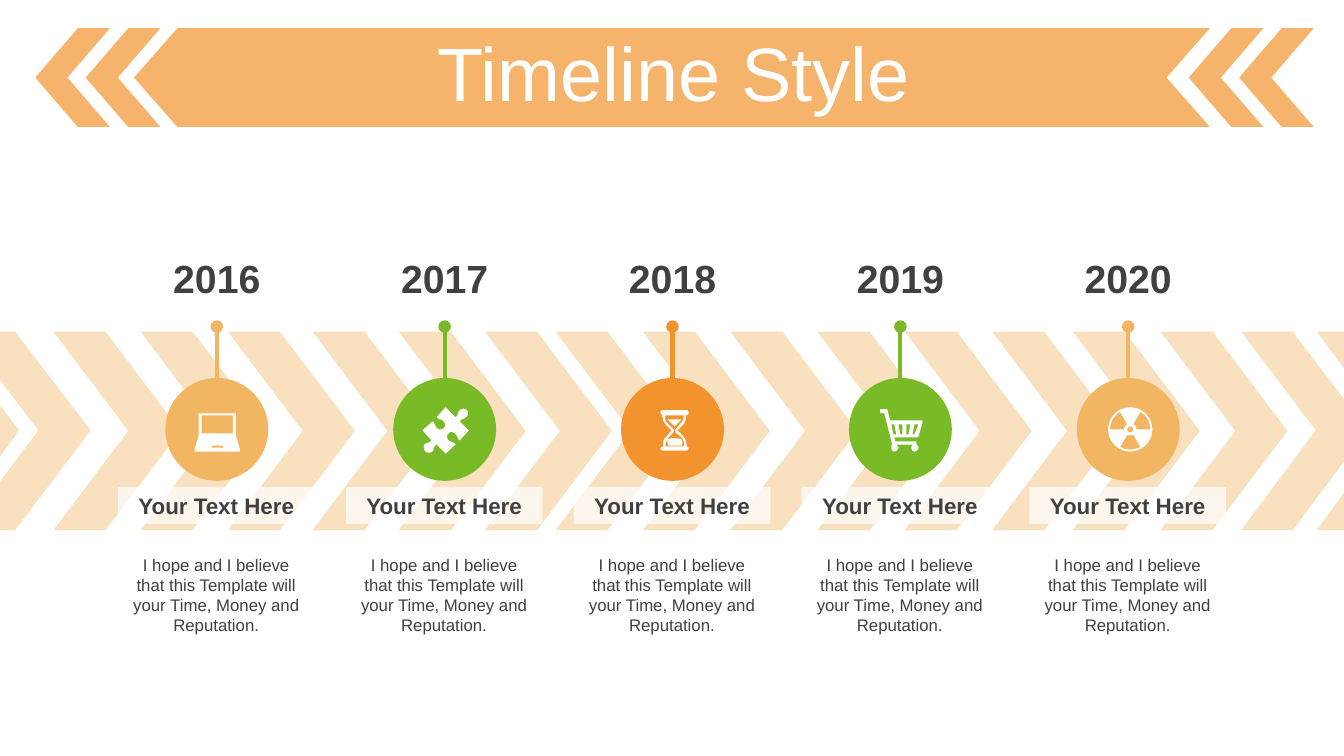
"""Build a five-year timeline slide with chevron bands and icons."""
from dataclasses import dataclass
from math import cos, radians, sin

from lxml import etree
from pptx import Presentation, util as u
from pptx.dml.color import RGBColor
from pptx.enum import shapes, text
from pptx.oxml.ns import qn


@dataclass(frozen=True)
class Theme:
    orange: str = "F3932D"
    sand: str = "F2B662"
    green: str = "79BA27"
    white: str = "FFFFFF"
    ink: str = "404040"
    font: str = "Arial"
    title: int = 54
    year: int = 28
    label: int = 16
    body: int = 12
    banner_alpha: int = 70
    band_alpha: int = 40
    label_alpha: int = 70


THEME = Theme()
BODY = "I hope and I believe that this Template will your Time, Money and Reputation."
MILESTONES = [
    ("2016", THEME.sand),
    ("2017", THEME.green),
    ("2018", THEME.orange),
    ("2019", THEME.green),
    ("2020", THEME.sand),
]
FIRST_CENTER, PITCH = 2.15, 2.26

BANNER_CHEVRONS = [0.35, 0.85, 11.79, 12.29]
BANNER_BODY = ["1.76,0.28 12,0.28 11.57,0.77 12,1.26 1.76,1.26 1.33,0.77"]
BAND_ROWS = [(0.53, 2.26, 3), (3.1, 4.81, 3), (5.51, 9.84, 6), (10.64, 11.51, 2)]
BAND_EDGES = [
    ["0,3.29 0.15,3.29 0.9,4.27 0.15,5.26 0,5.26 0,4.78 0.38,4.27 0,3.77"],
    ["12.31,3.29 12.82,3.29 13.33,3.96 13.33,4.58 12.82,5.26 12.31,5.26 13.05,4.27"],
    ["13.33,4.89 13.33,5.26 13.06,5.26", "13.06,3.29 13.33,3.29 13.33,3.65"],
    ["0,4.02 0.19,4.27 0,4.53"],
]

LAPTOP = [
    "2.1,4.42 2.1,4.44 2.22,4.44 2.21,4.42",
    "2,4.12 2,4.3 2.31,4.3 2.31,4.12",
    "1.97,4.1 2.34,4.1 2.34,4.32 2.38,4.46 2.38,4.48 1.93,4.48 1.93,4.46 1.97,4.32",
]
PUZZLE = [
    "4.63,4.07 4.64,4.08,4.65,4.11,4.63,4.13 4.61,4.16,4.58,4.15,4.56,4.18 "
    "4.65,4.27 4.56,4.37 4.53,4.34,4.54,4.32,4.51,4.3 4.49,4.28,4.46,4.28,4.45,4.3 "
    "4.43,4.31,4.43,4.35,4.45,4.37 4.48,4.39,4.49,4.38,4.52,4.41 4.42,4.5 4.33,4.41 "
    "4.29,4.44,4.31,4.45,4.29,4.48 4.26,4.5,4.23,4.49,4.22,4.48 "
    "4.2,4.46,4.2,4.43,4.21,4.41 4.23,4.39,4.26,4.4,4.28,4.37 4.19,4.27 4.29,4.18 "
    "4.32,4.2,4.31,4.23,4.34,4.25 4.36,4.27,4.39,4.26,4.4,4.25 "
    "4.42,4.23,4.42,4.2,4.4,4.18 4.37,4.15,4.36,4.17,4.33,4.14 4.42,4.04 4.52,4.14 "
    "4.55,4.11,4.53,4.1,4.56,4.07 4.58,4.05,4.62,4.05,4.63,4.07",
]
HOURGLASS = [
    "6.7,4.35 6.72,4.35,6.74,4.35,6.76,4.36 6.77,4.38,6.77,4.4,6.76,4.42 6.63,4.42 "
    "6.62,4.4,6.62,4.38,6.62,4.36 6.65,4.35,6.68,4.34,6.7,4.35",
    "6.62,4.16 6.76,4.16 6.76,4.17,6.75,4.17,6.74,4.18 6.69,4.23 6.64,4.18 "
    "6.63,4.17,6.63,4.17,6.62,4.16",
    "6.6,4.12 6.59,4.15,6.6,4.18,6.62,4.2 6.68,4.26 6.68,4.29 6.63,4.34 "
    "6.61,4.37,6.6,4.4,6.6,4.43 6.78,4.43 6.79,4.4,6.78,4.36,6.76,4.34 6.7,4.29 "
    "6.7,4.26 6.75,4.2 6.78,4.18,6.78,4.14,6.78,4.12",
    "6.58,4.07 6.81,4.07 6.82,4.07,6.83,4.08,6.83,4.09 6.83,4.11,6.82,4.12,6.81,4.12 "
    "6.8,4.12 6.81,4.15,6.8,4.19,6.77,4.22 6.72,4.27 6.77,4.32 "
    "6.8,4.35,6.81,4.39,6.81,4.43 6.82,4.43,6.83,4.44,6.83,4.45 "
    "6.83,4.46,6.82,4.47,6.81,4.47 6.58,4.47 6.56,4.47,6.55,4.46,6.55,4.45 "
    "6.55,4.44,6.56,4.43,6.58,4.43 6.57,4.39,6.58,4.35,6.61,4.33 6.66,4.27 6.61,4.22 "
    "6.58,4.19,6.57,4.15,6.57,4.12 6.56,4.11,6.55,4.1,6.55,4.09 "
    "6.55,4.08,6.56,4.07,6.58,4.07",
]
CART = [
    "9.07,4.21 9.05,4.31 9.07,4.31 9.11,4.21",
    "8.99,4.21 8.99,4.31 9.01,4.31 9.03,4.21",
    "8.91,4.21 8.93,4.31 8.95,4.31 8.95,4.21",
    "8.84,4.21 8.86,4.31 8.89,4.31 8.87,4.21",
    "8.8,4.06 8.83,4.17 9.14,4.17 9.15,4.17,9.15,4.18,9.15,4.19 9.11,4.33 "
    "9.1,4.34,9.1,4.34,9.09,4.34 8.87,4.34 8.88,4.38 9.09,4.38 9.09,4.41 "
    "9.1,4.42,9.11,4.43,9.11,4.44 9.11,4.46,9.09,4.48,9.07,4.48 "
    "9.05,4.48,9.04,4.46,9.04,4.44 9.04,4.43,9.04,4.42,9.06,4.41 8.89,4.41 "
    "8.9,4.42,8.91,4.43,8.91,4.44 8.91,4.46,8.89,4.48,8.87,4.48 "
    "8.85,4.48,8.84,4.46,8.84,4.44 8.84,4.43,8.84,4.42,8.85,4.41 "
    "8.77,4.1 8.73,4.1 8.73,4.06 8.79,4.06",
]


def arc(radius, start, end):
    """Return points along an arc of the radiation sign."""
    angles = [radians(start + (end - start) * step / 24) for step in range(25)]
    return [(11.21 + radius * cos(angle), 4.26 + radius * sin(angle)) for angle in angles]


def radiation():
    """Return the disc, hub and three sector outlines of the radiation sign."""
    sectors = [arc(0.2, a, a + 60) + arc(0.06, a + 60, a) for a in (60, 180, 300)]
    return [arc(0.22, 0, 360), arc(0.03, 0, 360)] + sectors


def trace(outline):
    """Turn a string of points and cubic curves into a list of points."""
    points = []
    for token in outline.split():
        values = [float(value) for value in token.split(",")]
        if len(values) == 2:
            points.append(tuple(values))
            continue
        (x0, y0), (x1, y1, x2, y2, x3, y3) = points[-1], values
        for step in range(1, 7):
            t = step / 6
            weights = ((1 - t) ** 3, 3 * t * (1 - t) ** 2, 3 * t * t * (1 - t), t ** 3)
            points.append(tuple(sum(w * v for w, v in zip(weights, axis))
                                for axis in ((x0, x1, x2, x3), (y0, y1, y2, y3))))
    return points


def paint(shape, color, alpha=100):
    """Give a shape a plain fill without line or shadow."""
    shape.shadow.inherit = False
    shape.line.fill.background()
    shape.fill.solid()
    shape.fill.fore_color.rgb = RGBColor.from_string(color)
    if alpha < 100:
        tint = shape._element.spPr.find(".//" + qn("a:srgbClr"))
        etree.SubElement(tint, qn("a:alpha"), val=str(alpha * 1000))
    return shape


def add_preset(slide, kind, box, color, alpha=100):
    """Add a filled preset shape."""
    return paint(slide.shapes.add_shape(kind, *map(u.Inches, box)), color, alpha)


def add_chevron(slide, box, notch, color, alpha):
    """Add a chevron with the given notch depth."""
    chevron = add_preset(slide, shapes.MSO_SHAPE.CHEVRON, box, color, alpha)
    chevron.adjustments[0] = notch
    return chevron


def add_outline(slide, contours, color, alpha=100):
    """Add a freeform made of one or more closed contours."""
    builder = None
    for contour in contours:
        corners = trace(contour) if isinstance(contour, str) else contour
        points = [(u.Inches(x), u.Inches(y)) for x, y in corners]
        if builder is None:
            builder = slide.shapes.build_freeform(*points[0])
        else:
            builder.move_to(*points[0])
        builder.add_line_segments(points[1:], close=True)
    paint(builder.convert_to_shape(), color, alpha)


def write(shape, words, size, color, bold=False, anchor=text.MSO_ANCHOR.TOP):
    """Put one centred paragraph into a shape."""
    frame = shape.text_frame
    frame.word_wrap = True
    frame.vertical_anchor = anchor
    paragraph = frame.paragraphs[0]
    paragraph.text = words
    paragraph.alignment = text.PP_ALIGN.CENTER
    font = paragraph.font
    font.name, font.size, font.bold = THEME.font, u.Pt(size), bold
    font.color.rgb = RGBColor.from_string(color)
    return paragraph


def add_text(slide, box, *args, **options):
    """Add a text box holding one paragraph."""
    return write(slide.shapes.add_textbox(*map(u.Inches, box)), *args, **options)


def add_pin(slide, center, circle, color):
    """Add a round-headed pin that ends on top of a circle."""
    x = u.Inches(center)
    pin = slide.shapes.add_connector(
        shapes.MSO_CONNECTOR.STRAIGHT, x, u.Inches(3.24), x, u.Inches(3.75))
    pin.end_connect(circle, 0)
    pin.line.width = u.Pt(3)
    pin.line.color.rgb = RGBColor.from_string(color)
    etree.SubElement(pin.line._get_or_add_ln(), qn("a:headEnd"), type="oval")
    etree.SubElement(pin._element.spPr, qn("a:effectLst"))


def add_banner(slide):
    """Add the title banner."""
    for left in BANNER_CHEVRONS:
        chevron = add_chevron(slide, (left, 0.28, 0.74, 0.98), 0.57,
                              THEME.orange, THEME.banner_alpha)
        chevron.rotation = 180
    add_outline(slide, BANNER_BODY, THEME.orange, THEME.banner_alpha)
    title = add_text(slide, (0.35, 0.37, 12.66, 0.79), "Timeline Style", THEME.title,
                     THEME.white, anchor=text.MSO_ANCHOR.MIDDLE)
    title.line_spacing = 0.9


def add_band(slide):
    """Add the pale chevron band across the slide."""
    for first, last, count in BAND_ROWS:
        for index in range(count):
            left = first + index * (last - first) / (count - 1)
            add_chevron(slide, (left, 3.29, 1.26, 1.97), 0.59, THEME.sand, THEME.band_alpha)
    for contours in BAND_EDGES:
        add_outline(slide, contours, THEME.sand, THEME.band_alpha)


def add_milestone(slide, center, year, color, icon):
    """Add one year with its pin, circle, icon, label and description."""
    circle = add_preset(slide, shapes.MSO_SHAPE.OVAL, (center - 0.51, 3.75, 1.02, 1.02), color)
    add_pin(slide, center, circle, color)
    label = add_preset(slide, shapes.MSO_SHAPE.RECTANGLE, (center - 0.98, 4.83, 1.95, 0.37),
                       THEME.white, THEME.label_alpha)
    write(label, "Your Text Here", THEME.label, THEME.ink, bold=True)
    add_text(slide, (center - 0.98, 5.45, 1.95, 0.91), BODY, THEME.body, THEME.ink)
    add_outline(slide, icon, THEME.white)
    add_text(slide, (center - 0.78, 2.47, 1.56, 0.57), year, THEME.year, THEME.ink, bold=True)


def main():
    """Build and save the slide."""
    presentation = Presentation()
    presentation.slide_width, presentation.slide_height = u.Inches(13.33), u.Inches(7.5)
    slide = presentation.slides.add_slide(presentation.slide_layouts[6])
    add_banner(slide)
    add_band(slide)
    icons = [LAPTOP, PUZZLE, HOURGLASS, CART, radiation()]
    for index, ((year, color), icon) in enumerate(zip(MILESTONES, icons)):
        add_milestone(slide, FIRST_CENTER + index * PITCH, year, color, icon)
    presentation.save("out.pptx")


if __name__ == "__main__":
    main()
